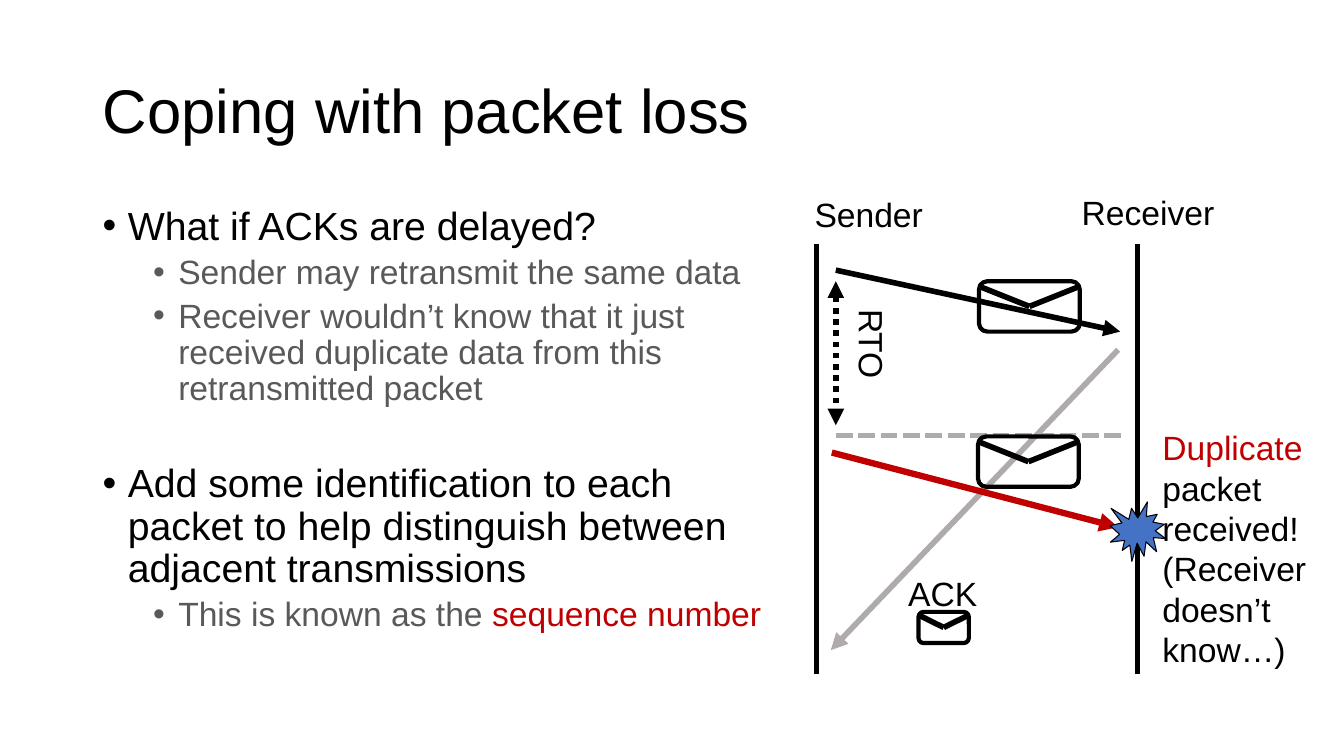
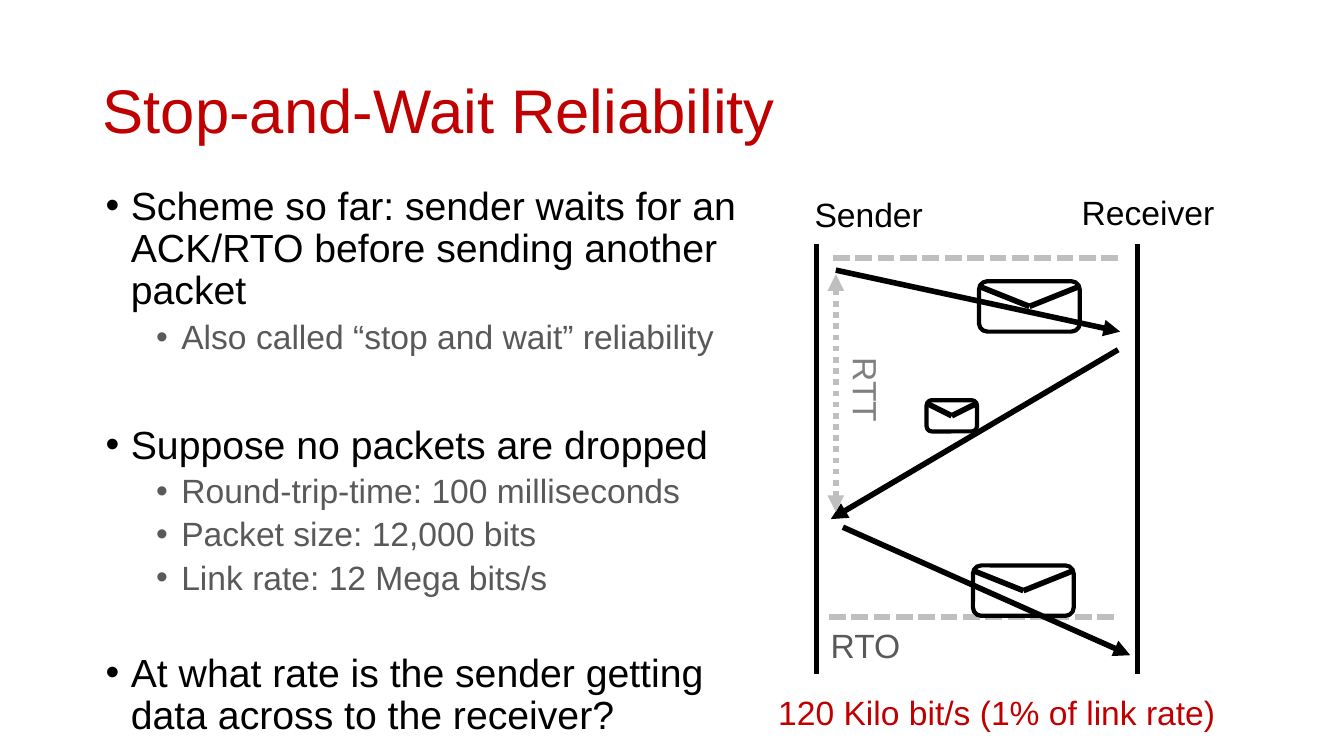
from lxml import etree
from pptx import Presentation
from pptx.dml.color import RGBColor
from pptx.enum.dml import MSO_LINE
from pptx.enum.shapes import MSO_CONNECTOR, MSO_SHAPE
from pptx.enum.text import MSO_ANCHOR, PP_ALIGN
from pptx.oxml.ns import qn
from pptx.util import Inches, Pt

STRAIGHT = MSO_CONNECTOR.STRAIGHT
ENVELOPE, BURST = MSO_SHAPE.ROUNDED_RECTANGLE, MSO_SHAPE.EXPLOSION1
DASH, DOT = MSO_LINE.SQUARE_DOT, MSO_LINE.ROUND_DOT
LEFT, MIDDLE = PP_ALIGN.LEFT, MSO_ANCHOR.MIDDLE

FONT = "Arial"
BLACK, RED, BLUE = "000000", "C00000", "4472C4"
DARK_GRAY, GRAY, ACK_GRAY, LIGHT_GRAY = "595959", "808080", "AFABAB", "BFBFBF"
LARGE, SMALL = (1, 0.5), (0.5, 0.31)
TO, BOTH = ("tailEnd",), ("headEnd", "tailEnd")
rgb = RGBColor.from_string


def add_line(slide, start, end, color=BLACK, width=4, dash=None, arrows=()):
    line = slide.shapes.add_connector(STRAIGHT, *map(Inches, start + end))
    line.line.color.rgb = rgb(color)
    line.line.width = Pt(width)
    if dash:
        line.line.dash_style = dash
    outline = line.line._get_or_add_ln()
    for arrow in arrows:
        etree.SubElement(outline, qn(f"a:{arrow}"), type="triangle")
    etree.SubElement(line._element.spPr, qn("a:effectLst"))


def format_runs(paragraph, size, color):
    for run in paragraph.runs:
        run.font.name = FONT
        run.font.size = Pt(size)
        run.font.color.rgb = rgb(color)


shared_lines = [
    ((8.1, 2.42), (8.1, 6.69)),
    ((11.28, 2.42), (11.28, 6.69)),
    ((8.29, 2.68), (11.11, 3.29), BLACK, 4, None, TO),
]
shared_labels = [
    ((7.98, 1.87, 1.51, 0.5), 0, [("Sender", BLACK)]),
    ((10.63, 1.85, 1.68, 0.5), 0, [("Receiver", BLACK)]),
]
shared_envelopes = [((9.71, 2.79), LARGE)]

pages = [
    {
        "title": ("Coping with packet loss", BLACK),
        "body_box": (0.92, 2, 7.04, 5.1),
        "bullets": [
            (0, 0, "What if ACKs are delayed?", ""),
            (1, 5, "Sender may retransmit the same data", ""),
            (1, 5, "Receiver wouldn’t know that it just received duplicate "
                   "data from this retransmitted packet", ""),
            (0, 40, "Add some identification to each packet to help "
                    "distinguish between adjacent transmissions", ""),
            (1, 5, "This is known as the ", "sequence number"),
        ],
        "lines": [
            ((11.09, 3.47), (8.24, 6.45), ACK_GRAY, 4, None, TO),
            ((8.29, 4.32), (11.14, 4.32), ACK_GRAY, 4, DASH),
            ((8.29, 2.79), (8.29, 4.22), BLACK, 4, DOT, BOTH),
            ((8.25, 4.49), (11.09, 5.23), RED, 4.5, None, TO),
        ],
        "envelopes": [((9.11, 6.07), SMALL), ((9.7, 4.33), LARGE)],
        "bursts": [(11.01, 4.98, 0.55, 0.59)],
        "labels": [
            ((8.91, 5.63, 1, 0.5), 0, [("ACK", BLACK)]),
            ((8.1, 3.27, 1.1, 0.5), 90, [("RTO", BLACK)]),
            ((11.43, 4.19, 1.88, 2.52), 0, [
                ("Duplicate", RED),
                ("packet received!", BLACK),
                ("(Receiver doesn’t know…)", BLACK),
            ]),
        ],
    },
    {
        "title": ("Stop-and-Wait Reliability", RED),
        "body_box": (0.95, 1.8, 6.92, 5.5),
        "bullets": [
            (0, 0, "Scheme so far: sender waits for an ACK/RTO before "
                   "sending another packet", ""),
            (1, 5, "Also called “stop and wait” reliability", ""),
            (0, 49, "Suppose no packets are dropped", ""),
            (1, 5, "Round-trip-time: 100 milliseconds", ""),
            (1, 5, "Packet size: 12,000 bits", ""),
            (1, 5, "Link rate: 12 Mega bits/s", ""),
            (0, 40, "At what rate is the sender getting data across to "
                    "the receiver?", ""),
        ],
        "lines": [
            ((11.09, 3.47), (8.24, 5.15), BLACK, 4, None, TO),
            ((8.22, 6.12), (11.07, 6.12), LIGHT_GRAY, 4, DASH),
            ((8.26, 2.56), (11.11, 2.56), LIGHT_GRAY, 4, DASH),
            ((8.29, 2.72), (8.29, 5.08), LIGHT_GRAY, 4, DOT, BOTH),
            ((8.36, 5.23), (11.21, 6.5), BLACK, 4, None, TO),
        ],
        "envelopes": [((9.19, 3.97), SMALL), ((9.65, 5.61), LARGE)],
        "bursts": [],
        "labels": [
            ((8.04, 3.75, 1.1, 0.5), 90, [("RTT", GRAY)]),
            ((7.62, 6.81, 5.01, 0.51), 0,
             [("120 Kilo bit/s (1% of link rate)", RED)]),
            ((8.14, 6.15, 1.1, 0.5), 0, [("RTO", DARK_GRAY)]),
        ],
    },
]

prs = Presentation()
prs.slide_width, prs.slide_height = Inches(13.33), Inches(7.5)
title_only = prs.slide_layouts[5]

for page in pages:
    slide = prs.slides.add_slide(title_only)
    title = slide.shapes.title
    title.left, title.top = Inches(0.92), Inches(0.4)
    title.width, title.height = Inches(11.5), Inches(1.45)
    heading, heading_color = page["title"]
    title.text_frame.text = heading
    title.text_frame.vertical_anchor = MIDDLE
    title.text_frame.paragraphs[0].alignment = LEFT
    title.text_frame.paragraphs[0].line_spacing = 0.9
    format_runs(title.text_frame.paragraphs[0], 44, heading_color)

    body = slide.shapes.add_textbox(*map(Inches, page["body_box"])).text_frame
    body.word_wrap = True
    for index, (level, gap, text, key_term) in enumerate(page["bullets"]):
        paragraph = body.add_paragraph() if index else body.paragraphs[0]
        paragraph.text = text
        paragraph.level = level
        paragraph.line_spacing = 0.9
        paragraph.space_before = Pt(gap)
        properties = paragraph._p.get_or_add_pPr()
        properties.set("marL", str(Inches(0.25 + 0.5 * level)))
        properties.set("indent", str(Inches(-0.25)))
        etree.SubElement(properties, qn("a:buFont"), typeface=FONT)
        etree.SubElement(properties, qn("a:buChar"), char="•")
        if key_term:
            paragraph.add_run().text = key_term
        format_runs(paragraph, (28, 24)[level], (BLACK, DARK_GRAY)[level])
        if key_term:
            paragraph.runs[-1].font.color.rgb = rgb(RED)

    for line in shared_lines + page["lines"]:
        add_line(slide, *line)

    for (left, top), (width, height) in shared_envelopes + page["envelopes"]:
        envelope = slide.shapes.add_shape(
            ENVELOPE, *map(Inches, (left, top, width, height)))
        envelope.shadow.inherit = False
        envelope.fill.background()
        envelope.line.color.rgb = rgb(BLACK)
        envelope.line.width = Pt(3)
        fold = (left + width / 2, top + height / 2)
        flap_top = top + height / 10
        add_line(slide, (left, flap_top), fold)
        add_line(slide, fold, (left + width, flap_top))

    for box in page["bursts"]:
        burst = slide.shapes.add_shape(BURST, *map(Inches, box))
        burst.shadow.inherit = False
        burst.fill.solid()
        burst.fill.fore_color.rgb = rgb(BLUE)
        burst.line.color.rgb = rgb(BLACK)
        burst.line.width = Pt(0.75)

    for box, rotation, rows in shared_labels + page["labels"]:
        label = slide.shapes.add_textbox(*map(Inches, box))
        label.rotation = rotation
        label.text_frame.word_wrap = True
        label.text_frame.text = "\n".join(text for text, color in rows)
        for paragraph, (text, color) in zip(label.text_frame.paragraphs, rows):
            format_runs(paragraph, 24, color)

prs.save("out.pptx")
